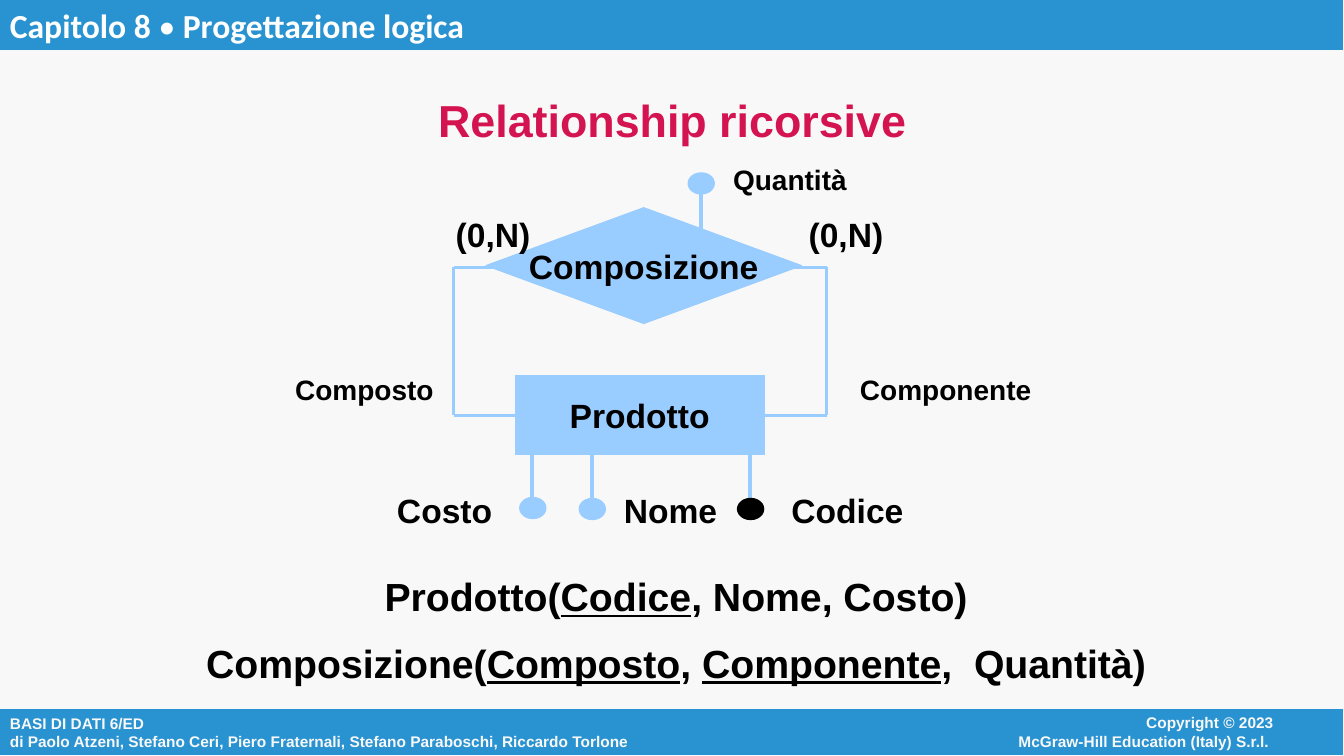
import dataclasses

import pptx
import pptx.dml.color
import pptx.enum.shapes
import pptx.enum.text
import pptx.oxml.xmlchemy
import pptx.util

SHAPE = pptx.enum.shapes.MSO_SHAPE
ALIGN = pptx.enum.text.PP_ALIGN
ANCHOR = pptx.enum.text.MSO_ANCHOR

# Content: a run is (text, style), style "b" bold, "u" bold underlined, "" plain
HEADER = [[("Capitolo 8 ", "b"), ("•", ""), (" Progettazione logica", "b")]]
CREDITS = ["BASI DI DATI 6/ED",
           "di Paolo Atzeni, Stefano Ceri, Piero Fraternali, Stefano Paraboschi, Riccardo Torlone"]
COPYRIGHT = ["Copyright © 2023", "McGraw-Hill Education (Italy) S.r.l. "]
TITLE = "Relationship ricorsive"
SCHEMAS = [
    [("Prodotto(", "b"), ("Codice", "u"), (", Nome, Costo)", "b")],
    [("Composizione(", "b"), ("Composto", "u"), (", ", "b"), ("Componente", "u"),
     (",  Quantità)", "b")],
]


@dataclasses.dataclass(frozen=True)
class Theme:
    background: str = "F8F8F8"
    bar: str = "2993D1"
    diagram: str = "99CCFF"
    title: str = "D41450"
    text: str = "000000"
    white: str = "FFFFFF"
    font: str = "Arial"
    header_font: str = "Calibri"
    footer_size: int = 11
    role_size: int = 20
    label_size: int = 24
    schema_size: int = 28
    title_size: int = 32


theme = Theme()

# Labels: text, box in px, size
LABELS = [
    ("Composto", (283, 365, 157, 43), theme.role_size),
    ("Componente", (843, 365, 190, 43), theme.role_size),
    ("Quantità", (717, 156, 133, 43), theme.role_size),
    ("Costo", (384, 481, 114, 50), theme.label_size),
    ("Nome", (609, 481, 112, 50), theme.label_size),
    ("Codice", (775, 481, 131, 50), theme.label_size),
    ("(0,N)", (442, 207, 94, 50), theme.label_size),
    ("(0,N)", (792, 207, 94, 50), theme.label_size),
]

# Attributes: centre x, centre y of the dot, y where its stem meets the shape, dot colour
ATTRIBUTES = [
    (528, 504, 441, theme.diagram),
    (587, 505, 441, theme.diagram),
    (744, 505, 441, theme.text),
    (695, 182, 245, theme.diagram),
]
DOT_WIDTH, DOT_HEIGHT = 23, 18

# Geometry in px, 100 px to the inch
WIDTH, HEIGHT = 1333, 750
RELATIONSHIP = (482, 206, 313, 115)
ENTITY = (511, 373, 247, 78)
LOOP_LEFT, LOOP_RIGHT, LOOP_TOP = 450, 820, 265
LOOP_BOTTOM = ENTITY[1] + ENTITY[3] // 2


def px(value):
    return pptx.util.Emu(value * 9144)


def color(value):
    return pptx.dml.color.RGBColor.from_string(value)


def write(shape, paragraphs, size=theme.label_size, fill=theme.text, font=theme.font,
          align=ALIGN.CENTER, anchor=ANCHOR.MIDDLE, wrap=False, gap=0):
    frame = shape.text_frame
    frame.word_wrap = wrap
    frame.auto_size = pptx.enum.text.MSO_AUTO_SIZE.NONE
    frame.vertical_anchor = anchor
    for index, runs in enumerate(paragraphs):
        paragraph = frame.add_paragraph() if index else frame.paragraphs[0]
        paragraph.alignment = align
        paragraph.space_before = pptx.util.Pt(gap if index else 0)
        for text, style in [(runs, "b")] if isinstance(runs, str) else runs:
            run = paragraph.add_run()
            run.text = text
            run.font.name = font
            run.font.size = pptx.util.Pt(size)
            run.font.color.rgb = color(fill)
            run.font.bold = style != ""
            run.font.underline = style == "u"


def add_shape(kind, box, fill, line, line_width):
    shape = slide.shapes.add_shape(kind, *map(px, box))
    shape.shadow.inherit = False
    shape.fill.solid()
    shape.fill.fore_color.rgb = color(fill)
    shape.line.color.rgb = color(line)
    shape.line.width = pptx.util.Pt(line_width)
    return shape


def add_line(x1, y1, x2, y2, width):
    line = slide.shapes.add_connector(
        pptx.enum.shapes.MSO_CONNECTOR.STRAIGHT, px(x1), px(y1), px(x2), px(y2))
    line.line.color.rgb = color(theme.diagram)
    line.line.width = pptx.util.Pt(width)
    properties = line._element.spPr
    properties.append(properties.makeelement(pptx.oxml.ns.qn("a:effectLst"), {}))
    return line


def add_text(box, paragraphs, **style):
    write(slide.shapes.add_textbox(*map(px, box)), paragraphs, **style)


presentation = pptx.Presentation()
presentation.slide_width, presentation.slide_height = px(WIDTH), px(HEIGHT)
slide = presentation.slides.add_slide(presentation.slide_layouts[5])
slide.background.fill.solid()
slide.background.fill.fore_color.rgb = color(theme.background)

# Header and footer bars
footer = add_shape(SHAPE.RECTANGLE, (0, 703, WIDTH, 47), theme.bar, theme.background, 0.75)
write(footer, CREDITS, size=theme.footer_size, fill=theme.background, align=ALIGN.LEFT)
add_text((889, 703, 384, 46), COPYRIGHT, size=theme.footer_size, fill=theme.background,
         align=ALIGN.RIGHT, anchor=ANCHOR.TOP, wrap=True)
header = add_shape(SHAPE.RECTANGLE, (0, 0, WIDTH, 50), theme.bar, theme.background, 0)
write(header, HEADER, fill=theme.white, font=theme.header_font, align=ALIGN.LEFT,
      anchor=ANCHOR.TOP, wrap=True)

# Title
title = slide.shapes.title
title.left, title.top, title.width, title.height = map(px, (155, 99, 1024, 39))
write(title, [TITLE], size=theme.title_size, fill=theme.title, wrap=True)

# Recursive loop between the relationship and the entity
add_line(LOOP_LEFT, LOOP_TOP, LOOP_RIGHT, LOOP_TOP, 2.25)
relationship = add_shape(SHAPE.DIAMOND, RELATIONSHIP, theme.diagram, theme.diagram, 0.75)
write(relationship, ["Composizione"])
entity = add_shape(SHAPE.RECTANGLE, ENTITY, theme.diagram, theme.diagram, 0.75)
write(entity, ["Prodotto"])
for loop_x, entity_x, side in [(LOOP_LEFT, ENTITY[0], 1),
                               (LOOP_RIGHT, ENTITY[0] + ENTITY[2], 3)]:
    add_line(loop_x, LOOP_TOP, loop_x, LOOP_BOTTOM, 2.25)
    add_line(loop_x, LOOP_BOTTOM, entity_x, LOOP_BOTTOM, 2.25).end_connect(entity, side)

# Attributes
for x, y, stem_end, fill in ATTRIBUTES:
    add_line(x, y, x, stem_end, 3)
    dot = (x - DOT_WIDTH // 2, y - DOT_HEIGHT // 2, DOT_WIDTH, DOT_HEIGHT)
    add_shape(SHAPE.OVAL, dot, fill, fill, 3)

# Labels and resulting schemas
for text, box, size in LABELS:
    add_text(box, [text], size=size)
add_text((183, 563, 975, 123), SCHEMAS, size=theme.schema_size, anchor=ANCHOR.TOP,
         wrap=True, gap=14)

presentation.save("out.pptx")
